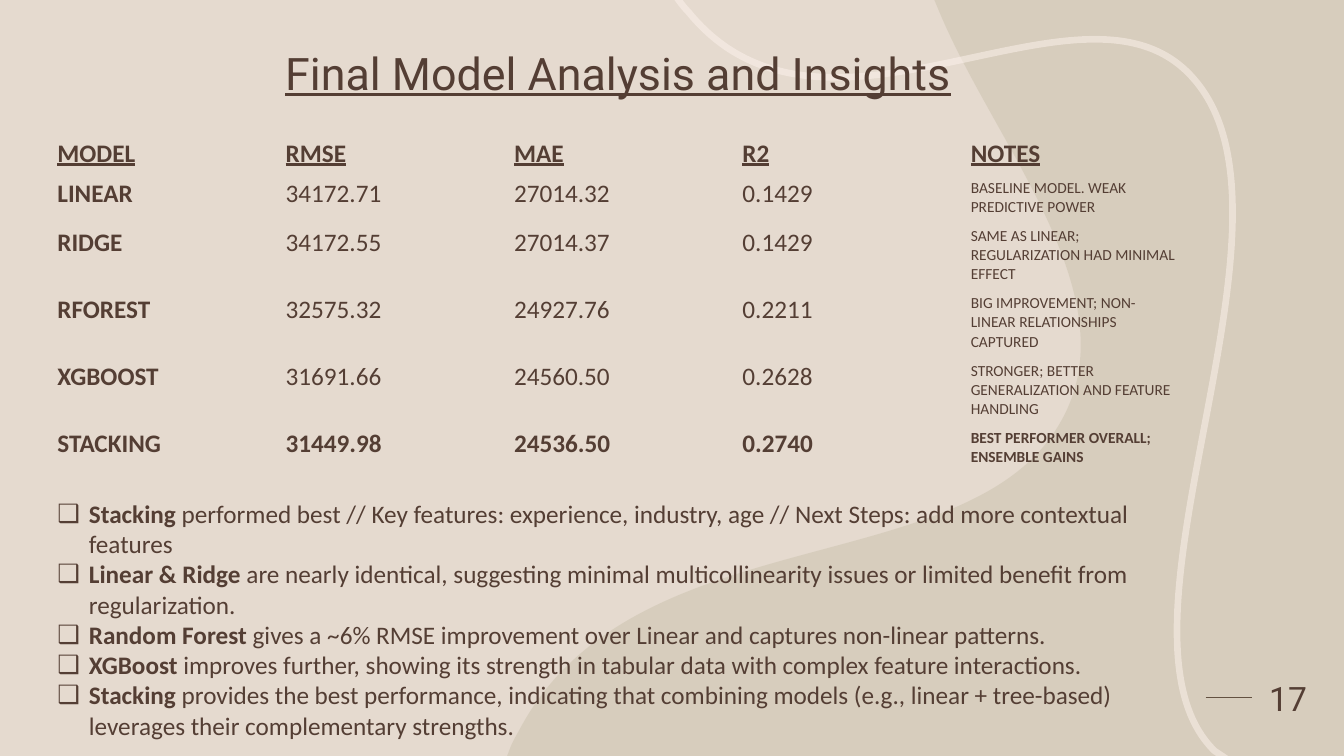
from lxml.etree import SubElement
from pptx import Presentation
from pptx.dml.color import RGBColor
from pptx.enum.shapes import MSO_CONNECTOR
from pptx.enum.text import MSO_ANCHOR as Anchor, MSO_AUTO_SIZE as AutoSize, PP_ALIGN as Align
from pptx.oxml.ns import qn
from pptx.util import Pt

BROWN = RGBColor(0x54, 0x3E, 0x34)
SAND = RGBColor(0xE5, 0xDA, 0xCF)
OLIVE = RGBColor(0xA0, 0x9D, 0x79)
CREAM = RGBColor(0xFE, 0xF3, 0xED)
NO_GRID_STYLE = "{2D5ABB26-0587-4C30-8999-92F81FD0307C}"
LEFT, WIDTH = 33.8, 815.6


def add_run(paragraph, text, size, font="Calibri", bold=False, underline=False):
    run = paragraph.add_run()
    run.text = text
    run.font.size = Pt(size)
    run.font.name = font
    run.font.bold = bold
    run.font.underline = underline
    run.font.color.rgb = BROWN


def add_outline(points, curves, closed):
    """Join straight points, then bend the last segments into cubic curves."""
    ends = [end for _, _, end in curves]
    vertices = [(Pt(x), Pt(y)) for x, y in points + ends]
    builder = slide.shapes.build_freeform(*vertices[0])
    builder.add_line_segments(vertices[1:], close=closed)
    shape = builder.convert_to_shape()
    shape.shadow.inherit = False
    segments = list(shape._element.spPr.iter(qn("a:lnTo")))[-len(curves):]
    for segment, controls in zip(segments, curves):
        segment.tag = qn("a:cubicBezTo")
        for i, (x, y) in enumerate(controls[:2]):
            point = SubElement(segment, qn("a:pt"),
                               x=str(Pt(x) - shape.left), y=str(Pt(y) - shape.top))
            segment.insert(i, point)
    return shape


presentation = Presentation()
presentation.slide_width, presentation.slide_height = Pt(960), Pt(540)
slide = presentation.slides.add_slide(presentation.slide_layouts[1])
title, body = slide.placeholders
slide.background.fill.solid()
slide.background.fill.fore_color.rgb = SAND

# Rule beside the page number
rule = slide.shapes.add_connector(
    MSO_CONNECTOR.STRAIGHT, Pt(861.1), Pt(498.2), Pt(894.2), Pt(498.2))
rule.line.color.rgb = BROWN
rule.line.width = Pt(1.25)
SubElement(rule._element.spPr, qn("a:effectLst"))

# Soft olive area on the right
blob = add_outline(
    [(667.4, 0), (960, 0), (960, 540), (362.2, 540), (365, 532.8)],
    [((367.9, 526.3), (370.8, 522), (372.2, 519.1)),
     ((454.3, 368.6), (692.6, 416.2), (757.4, 301.7)),
     ((808.6, 213.1), (711.4, 105.1), (671, 8.6))], True)
blob.fill.solid()
blob.fill.fore_color.rgb = OLIVE
blob.line.fill.background()

# Winding cream line
ribbon = add_outline(
    [(876.2, 542.2), (874.1, 540.7), (867.6, 536.4)],
    [((780.5, 451.4), (941, 158.4), (853.2, 56.9)),
     ((776.2, -33.8), (590.4, 129.6), (491.8, 8.6)),
     ((489.6, 6.5), (486.7, 2.9), (483.1, -2.2))], False)
ribbon.fill.background()
ribbon.line.color.rgb = CREAM
ribbon.line.width = Pt(4.75)

# Transparency of both
for shape, alpha in ((blob, "20000"), (ribbon, "50000")):
    color = next(shape._element.spPr.iter(qn("a:srgbClr")))
    SubElement(color, qn("a:alpha"), val=alpha)

# Title
slide.shapes._spTree.append(title._element)
title.left, title.top, title.width, title.height = Pt(LEFT), Pt(2.9), Pt(WIDTH), Pt(72)
title.text_frame.auto_size = AutoSize.NONE
title.text_frame.vertical_anchor = Anchor.BOTTOM
paragraph = title.text_frame.paragraphs[0]
paragraph.alignment = Align.CENTER
paragraph.line_spacing = 0.9
add_run(paragraph, "Final Model Analysis and Insights", 32, "Roboto", underline=True)

# Model scores
scores = [
    ("MODEL", "RMSE", "MAE", "R2", "NOTES"),
    ("LINEAR", "34172.71", "27014.32", "0.1429", "BASELINE MODEL. WEAK PREDICTIVE POWER"),
    ("RIDGE", "34172.55", "27014.37", "0.1429",
     "SAME AS LINEAR; REGULARIZATION HAD MINIMAL EFFECT"),
    ("RFOREST", "32575.32", "24927.76", "0.2211",
     "BIG IMPROVEMENT; NON- LINEAR RELATIONSHIPS CAPTURED"),
    ("XGBOOST", "31691.66", "24560.50", "0.2628",
     "STRONGER; BETTER GENERALIZATION AND FEATURE HANDLING"),
    ("STACKING", "31449.98", "24536.50", "0.2740", "BEST PERFORMER OVERALL; ENSEMBLE GAINS"),
]
row_heights = [29.2, 33.2, 47, 47, 47, 33.2]
table = slide.shapes.add_table(
    len(scores), len(scores[0]), Pt(LEFT), Pt(95), Pt(WIDTH), Pt(sum(row_heights))).table
table.first_row = table.horz_banding = False
table._tbl.tblPr.find(qn("a:tableStyleId")).text = NO_GRID_STYLE
last_row, last_column = len(scores) - 1, len(scores[0]) - 1
for r, (height, values) in enumerate(zip(row_heights, scores)):
    table.rows[r].height = Pt(height)
    for c, value in enumerate(values):
        cell = table.cell(r, c)
        cell.fill.background()
        is_note = r > 0 and c == last_column
        add_run(cell.text_frame.paragraphs[0], value, 11 if is_note else 18,
                bold=r in (0, last_row) or c == 0, underline=r == 0)

# Page number
number = slide.shapes.add_textbox(Pt(894.2), Pt(463), Pt(51.8), Pt(70.6))
number.text_frame.word_wrap = True
number.text_frame.vertical_anchor = Anchor.MIDDLE
paragraph = number.text_frame.paragraphs[0]
paragraph.alignment = Align.CENTER
add_run(paragraph, "17", 24, "Roboto")

# Insights
insights = [
    ("Stacking", " performed best // Key features: experience, industry, age // "
     "Next Steps: add more contextual features"),
    ("Linear & Ridge ", "are nearly identical, suggesting minimal multicollinearity issues "
     "or limited benefit from regularization."),
    ("Random Forest ", "gives a ~6% RMSE improvement over Linear and captures "
     "non-linear patterns."),
    ("XGBoost ", "improves further, showing its strength in tabular data with complex "
     "feature interactions."),
    ("Stacking ", "provides the best performance, indicating that combining models "
     "(e.g., linear + tree-based) leverages their complementary strengths."),
]
slide.shapes._spTree.append(body._element)
body.left, body.top, body.width, body.height = Pt(LEFT), Pt(352.3), Pt(WIDTH), Pt(160)
frame = body.text_frame
frame.auto_size = AutoSize.SHAPE_TO_FIT_TEXT
frame.vertical_anchor = Anchor.TOP
for i, (lead, rest) in enumerate(insights):
    paragraph = frame.paragraphs[0] if i == 0 else frame.add_paragraph()
    paragraph.space_before = Pt(0)
    paragraph.line_spacing = 1.0
    properties = paragraph._p.get_or_add_pPr()
    properties.set("marL", str(Pt(22.5)))
    properties.set("indent", str(-Pt(22.5)))
    SubElement(properties, qn("a:buChar"), char="❑")
    add_run(paragraph, lead, 18, bold=True)
    add_run(paragraph, rest, 18)

presentation.save("out.pptx")
